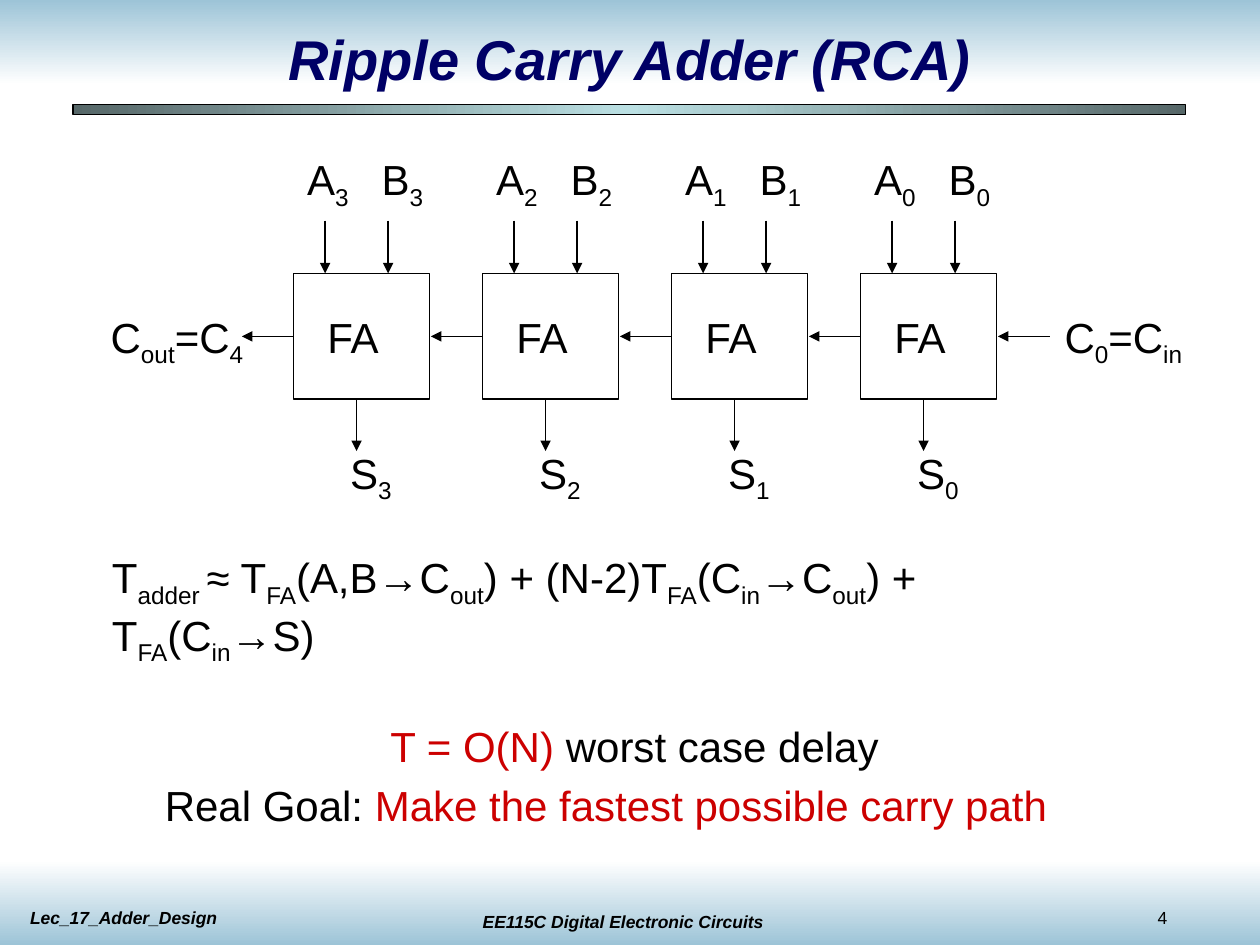
from copy import deepcopy
from dataclasses import dataclass

from pptx import Presentation
from pptx import util as u
from pptx.dml.color import RGBColor
from pptx.enum import shapes, text
from pptx.oxml.ns import qn
from pptx.oxml.xmlchemy import OxmlElement

In, Pt = u.Inches, u.Pt


@dataclass
class Theme:
    font: str = "Arial"
    ink: str = "000000"
    navy: str = "000066"
    red: str = "CC0000"
    sky: str = "9DC4D7"
    white: str = "FFFFFF"
    slate: str = "566768"
    aqua: str = "BBE0E3"
    head: int = 32
    body: int = 24
    foot: int = 10


def rgb(code):
    return RGBColor.from_string(code)


class Deck:
    def __init__(self, theme):
        self.theme = theme
        self.prs = Presentation()
        self.prs.slide_width, self.prs.slide_height = In(10), In(7.5)
        self.slide = self.prs.slides.add_slide(self.prs.slide_layouts[5])
        self.shapes = self.slide.shapes

    def style(self, para, size, color, bold=False):
        """Set the paragraph font; bold text is also italic."""
        font = para.font
        font.name, font.size = self.theme.font, Pt(size)
        font.bold = font.italic = bold
        font.color.rgb = rgb(color)

    def title(self, words, x, y, w, h):
        box = self.shapes.title
        box.left, box.top, box.width, box.height = map(In, (x, y, w, h))
        frame = box.text_frame
        frame.text = words
        frame.auto_size = text.MSO_AUTO_SIZE.NONE
        frame.vertical_anchor = text.MSO_ANCHOR.MIDDLE
        para = frame.paragraphs[0]
        para.alignment = text.PP_ALIGN.CENTER
        self.style(para, self.theme.head, self.theme.navy, True)
        tree = box.element.getparent()
        tree.append(box.element)  # in front of the bands

    def rect(self, x, y, w, h, line=None):
        box = self.shapes.add_shape(
            shapes.MSO_SHAPE.RECTANGLE, In(x), In(y), In(w), In(h))
        box.shadow.inherit = False
        box.fill.background()
        if line:
            box.line.color.rgb = rgb(self.theme.ink)
            box.line.width = Pt(line)
        else:
            box.line.fill.background()
        return box

    def band(self, x, y, w, h, colors, angle, line=None):
        """Draw a bar with evenly spaced gradient colours."""
        box = self.rect(x, y, w, h, line)
        box.fill.gradient()
        box.fill.gradient_angle = angle
        stops = box.element.spPr.find(".//" + qn("a:gsLst"))
        while len(stops) < len(colors):
            stops.append(deepcopy(stops[-1]))
        for i, (stop, color) in enumerate(zip(box.fill.gradient_stops, colors)):
            stop.position = i / (len(colors) - 1)
            stop.color.rgb = rgb(color)

    def arrow(self, x1, y1, x2, y2):
        line = self.shapes.add_connector(
            shapes.MSO_CONNECTOR.STRAIGHT, In(x1), In(y1), In(x2), In(y2))
        line.line.color.rgb = rgb(self.theme.ink)
        line.line.width = Pt(1)
        tail = OxmlElement("a:tailEnd")
        tail.set("type", "triangle")
        line.line._get_or_add_ln().append(tail)
        line.element.spPr.append(OxmlElement("a:effectLst"))

    def frame(self, x, y, w, h, wrap):
        frame = self.shapes.add_textbox(In(x), In(y), In(w), In(h)).text_frame
        frame.word_wrap = wrap
        return frame

    def label(self, words, x, y, w, h=0.56, wrap=False):
        """Write body text; parts between underscores are subscripts."""
        frame = self.frame(x, y, w, h, wrap)
        para = frame.paragraphs[0]
        self.style(para, self.theme.body, self.theme.ink)
        for i, part in enumerate(words.split("_")):
            if part:
                run = para.add_run()
                run.text = part
                if i % 2:
                    run._r.get_or_add_rPr().set("baseline", "-25000")
        return frame

    def claim(self, parts, x, y, w):
        """Write one line from (words, colour) pairs."""
        para = self.frame(x, y, w, 0.5, False).paragraphs[0]
        self.style(para, self.theme.body, self.theme.ink)
        for words, color in parts:
            run = para.add_run()
            run.text = words
            run.font.color.rgb = rgb(color)

    def foot(self, words, x, y, w, bold=True, align=text.PP_ALIGN.LEFT):
        para = self.frame(x, y, w, 0.27, True).paragraphs[0]
        para.text = words
        para.alignment = align
        self.style(para, self.theme.foot, self.theme.ink, bold)

    def adder(self, x, bit):
        """Draw one full adder with its inputs, sum and carry out."""
        self.rect(x, 2.17, 1.08, 1, 1)
        self.label(f"A_{bit}_", x + 0.01, 1.17, 0.53)
        self.label(f"B_{bit}_", x + 0.6, 1.17, 0.53)
        self.label(f"S_{bit}_", x + 0.35, 3.5, 0.53)
        for dx in (0.25, 0.75):
            self.arrow(x + dx, 1.75, x + dx, 2.17)
        self.arrow(x + 0.5, 3.17, x + 0.5, 3.58)
        self.arrow(x, 2.67, x - 0.41, 2.67)
        self.label("FA", x + 0.17, 2.42, 0.65, 0.5, True)


def main():
    t = Theme()
    deck = Deck(t)
    deck.band(0, 0, 10, 0.67, (t.sky, t.white), 270)
    deck.band(0, 6.83, 10, 0.67, (t.white, t.sky), 270)
    deck.foot("EE115C Digital Electronic Circuits", 3.53, 7.18, 2.83,
              align=text.PP_ALIGN.CENTER)
    deck.foot("4", 9.09, 7.15, 0.83, bold=False)
    deck.foot("Lec_17_Adder_Design", 0.14, 7.15, 2.83)
    deck.band(0.58, 0.83, 8.83, 0.08, (t.slate, t.aqua, t.slate), 180, 0.75)
    deck.title("Ripple Carry Adder (RCA)", 0.75, 0.17, 8.5, 0.58)

    deck.label("C_0_=C_in_", 8.35, 2.42, 1.25, wrap=True)
    deck.arrow(8.33, 2.67, 7.92, 2.67)
    for bit in range(4):
        deck.adder(6.83 - 1.5 * bit, bit)
    deck.label("C_out_=C_4_", 0.78, 2.42, 1.25)

    delay = deck.label(
        "T_adder _≈ T_FA_(A,B→C_out_) + (N-2)T_FA_(C_in_→C_out_) + "
        "T_FA_(C_in_→S)", 0.79, 4.33, 8.22, wrap=True)
    delay.margin_right = In(0.6)
    deck.claim([("T = O(N) ", t.red), ("worst case delay", t.ink)],
               3, 5.67, 4.08)
    deck.claim([("Real Goal: ", t.ink),
                ("Make the fastest possible carry path", t.red)],
               1.21, 6.14, 7.2)
    deck.prs.save("out.pptx")


if __name__ == "__main__":
    main()
